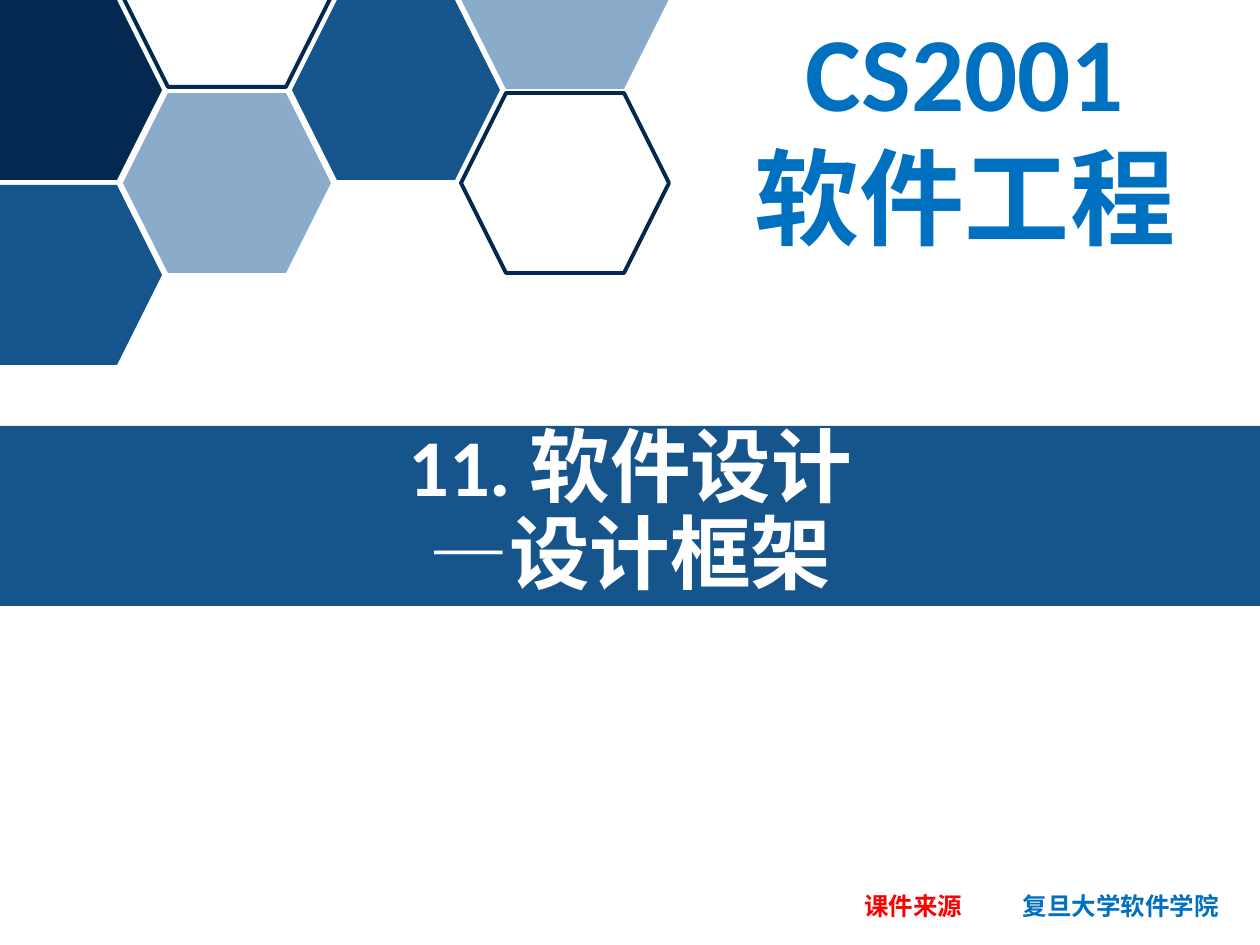
"""Build the title slide of a software engineering lecture on design frameworks."""
from pptx import Presentation
from pptx.dml.color import RGBColor
from pptx.enum.shapes import MSO_SHAPE
from pptx.enum.text import MSO_ANCHOR, PP_ALIGN
from pptx.util import Pt

PX = 914400 // 126
NAVY = RGBColor(0x03, 0x29, 0x51)
BLUE = RGBColor(0x16, 0x54, 0x8C)
PALE = RGBColor(0x8A, 0xAB, 0xCA)
BRIGHT = RGBColor(0x00, 0x70, 0xC0)
RED = RGBColor(0xFF, 0x00, 0x00)
WHITE = RGBColor(0xFF, 0xFF, 0xFF)

deck = Presentation()
deck.slide_width, deck.slide_height = 1260 * PX, 945 * PX
page = deck.slides.add_slide(deck.slide_layouts[6])


def add_block(kind, left, top, width, height, color, filled=True):
    block = page.shapes.add_shape(kind, left * PX, top * PX, width * PX, height * PX)
    block.shadow.inherit = False
    if filled:
        block.fill.solid()
        block.fill.fore_color.rgb = color
        block.line.fill.background()
    else:
        block.fill.background()
        block.line.color.rgb = color
        block.line.width = Pt(2.25)


def add_text(lines, left, top, width, height, size, color, align, spacing, anchor):
    box = page.shapes.add_textbox(left * PX, top * PX, width * PX, height * PX)
    frame = box.text_frame
    frame.word_wrap = True
    frame.vertical_anchor = anchor
    frame.text = "\n".join(lines)
    for para in frame.paragraphs:
        para.alignment = align
        para.line_spacing = spacing
        para.font.name = "Calibri"
        para.font.size = Pt(size)
        para.font.bold = True
        para.font.color.rgb = color


add_block(MSO_SHAPE.RECTANGLE, 0, 426, 1260, 180, BLUE)

hexagons = [
    (1, -93, NAVY, False),
    (2, 0, BLUE, True),
    (1, 93, PALE, True),
    (0, 0, NAVY, True),
    (0, 185, BLUE, True),
    (3, -91, PALE, True),
    (3, 93, NAVY, False),
]
for column, top, color, filled in hexagons:
    add_block(MSO_SHAPE.HEXAGON, 169 * column - 46, top, 208, 180, color, filled)

CENTER, LEFT = PP_ALIGN.CENTER, PP_ALIGN.LEFT
TOP, MIDDLE = MSO_ANCHOR.TOP, MSO_ANCHOR.MIDDLE
add_text(["11. 软件设计", "—设计框架"], 0, 425, 1260, 178, 46, WHITE, CENTER, 0.9, MIDDLE)
add_text(["CS2001", "软件工程"], 670, 0, 590, 267, 60, BRIGHT, CENTER, 1.0, TOP)
add_text(["复旦大学软件学院"], 505, 888, 1232, 82, 14, BRIGHT, CENTER, 0.9, TOP)
add_text(["课件来源"], 852, 885, 141, 43, 14, RED, LEFT, 1.0, TOP)

deck.save("out.pptx")
